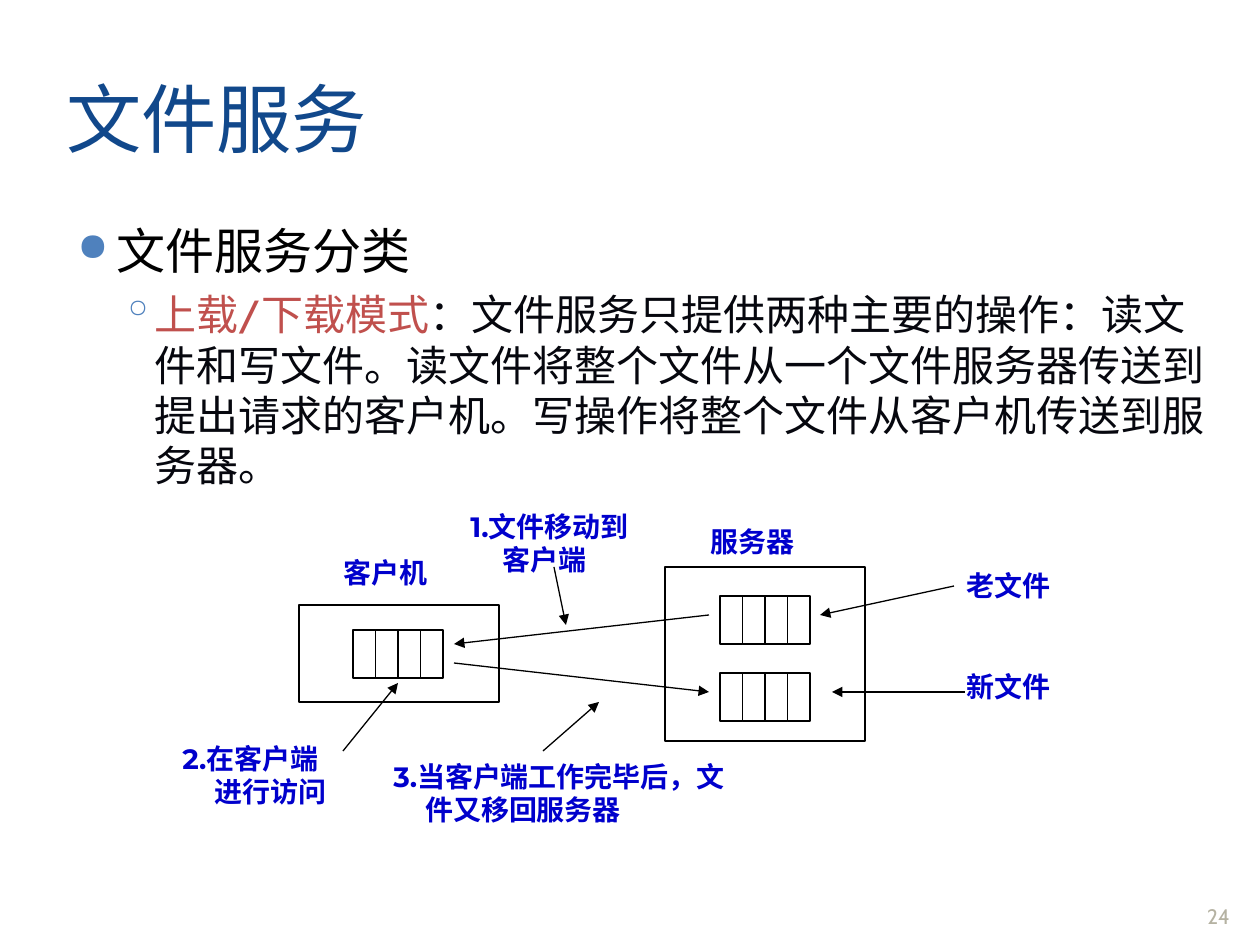
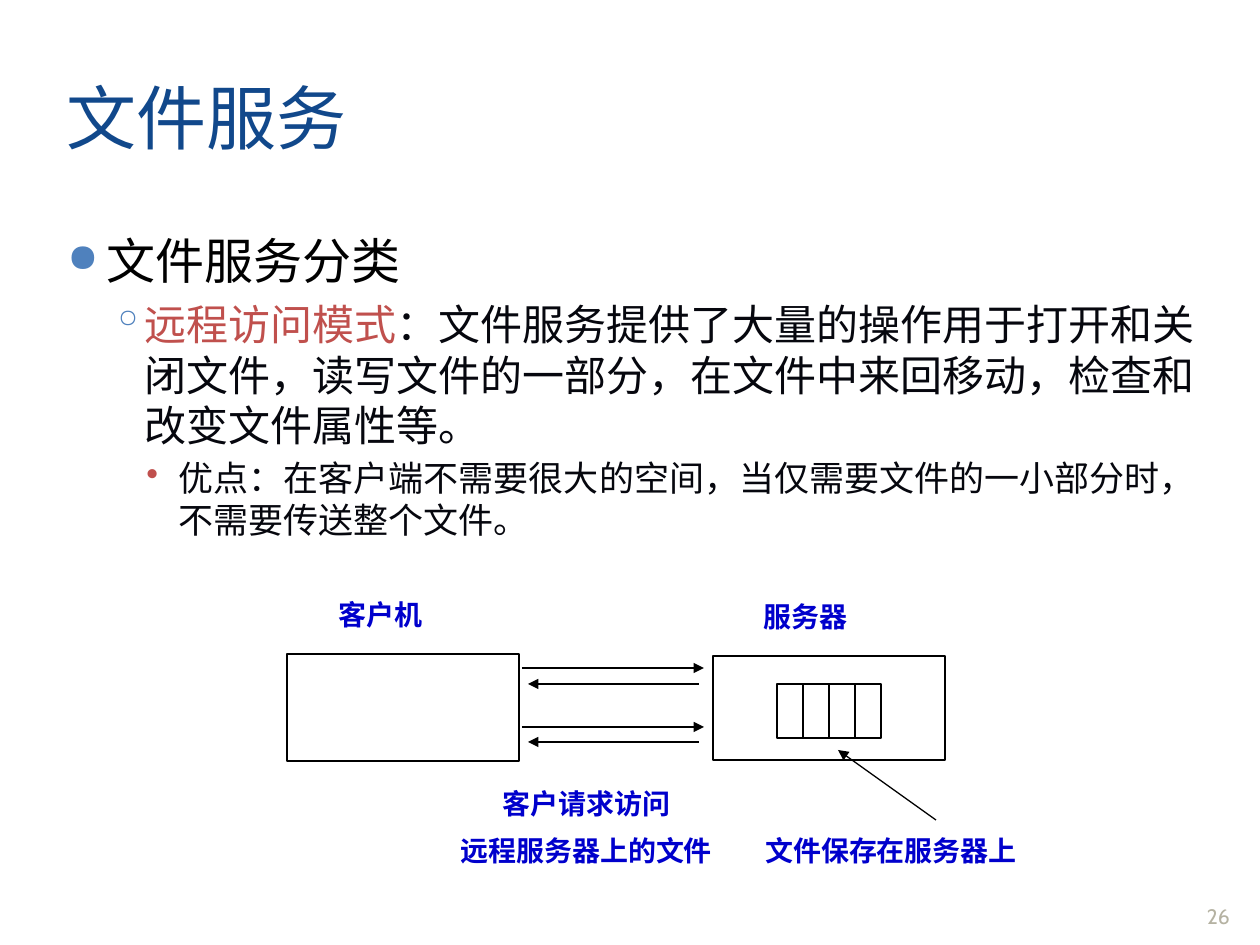
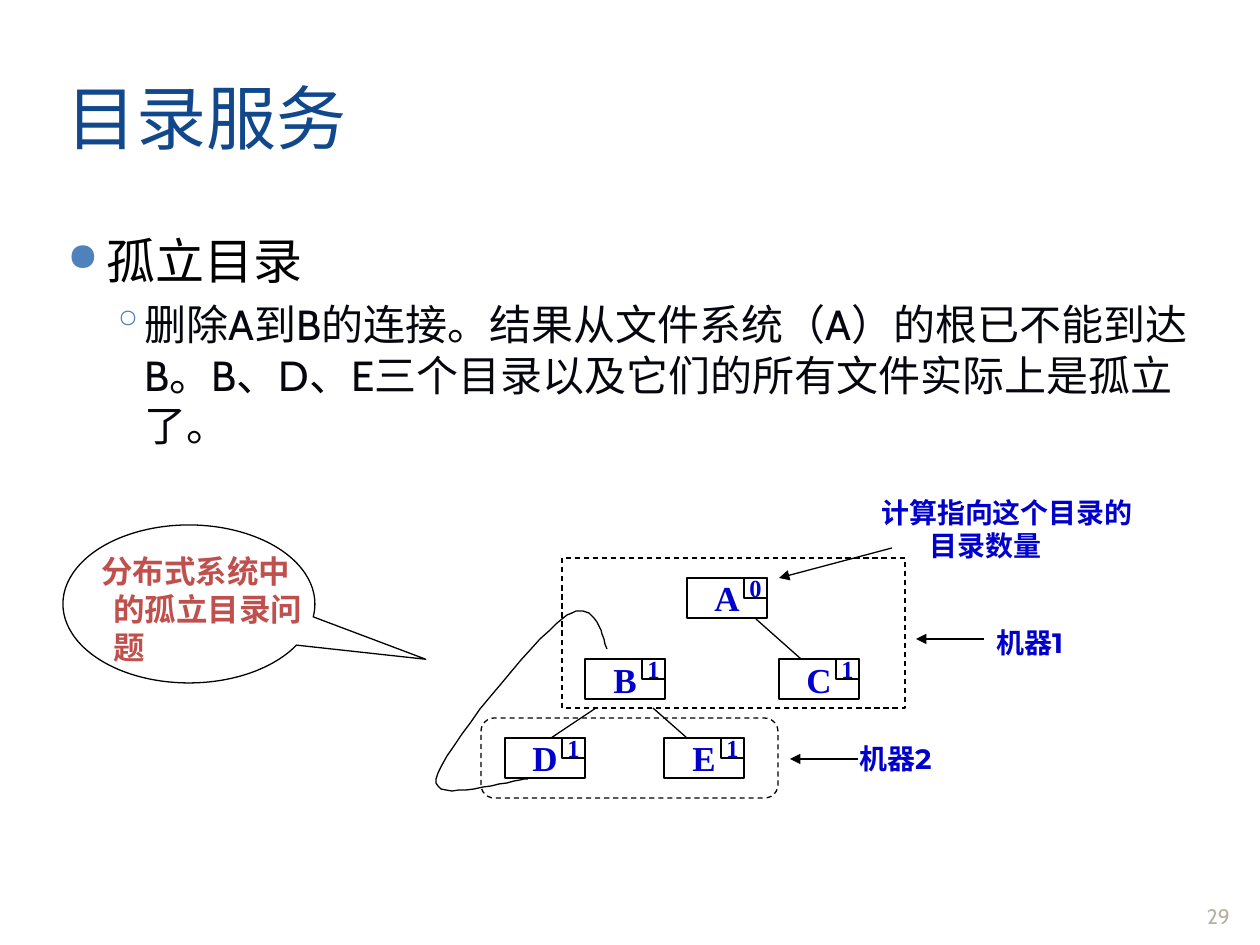
import pptx
import pptx.util
import pptx.dml.color
import pptx.enum.dml
import pptx.enum.shapes
import pptx.enum.text
import pptx.oxml
import pptx.oxml.ns

PX = 7257.14  # EMU in one px, 126 px to the inch
Kind = pptx.enum.shapes.MSO_SHAPE
Align = pptx.enum.text.PP_ALIGN
Anchor = pptx.enum.text.MSO_ANCHOR


class Theme:
    title, ink, text, red = "11488B", "000000", "06070E", "C0504D"
    blue, label, page = "4F81BD", "0000CC", "B5B2A2"
    main, bold, serif = "Cabin", "Montserrat", "Times New Roman"
    small, note, tip, node, badge = 12, 16, 18, 20, 14
    line = 0.75
    hang = 48
    # left margin, first indent, space before, size, text colour, bullet, its colour, its percent
    levels = [
        (50, -39, 6, 28, ink, "●", blue, 80),
        (88, -33, 5.5, 24, text, "◦", blue, 100),
        (122, -32, 4, 20, text, "•", red, 100),
    ]


# Content: body items are (level, lead words in red, the rest)
# labels are (text, box, lead of first line), arrows are (from x, from y, to x, to y)
LOAD = {
    "title": ("文件服务", 43), "page": "24",
    "body_box": (54, 214, 1177, 661),
    "body": [
        (0, "", "文件服务分类"),
        (1, "上载/下载模式", "：文件服务只提供两种主要的操作：读文件和写文件。读文件将整个文件从一个文件服务器"
                         "传送到提出请求的客户机。写操作将整个文件从客户机传送到服务器。"),
    ],
    "hosts": [(299, 605, 200, 97), (665, 567, 200, 174)],
    "files": [(353, 630, 90, 48), (720, 596, 90, 48), (720, 673, 90, 48)],
    "labels": [
        ("客户机", (331, 549, 145, 47), 0),
        ("服务器", (698, 518, 145, 47), 0),
        ("1.文件移动到客户端", (442, 503, 200, 81), 16),
        ("2.在客户端进行访问", (154, 735, 200, 79), 16),
        ("3.当客户端工作完毕后，文件又移回服务器", (365, 753, 378, 81), 16),
        ("老文件", (954, 562, 145, 47), 0),
        ("新文件", (954, 663, 145, 47), 0),
    ],
    "arrows": [
        (709, 615, 454, 644), (454, 663, 709, 692), (554, 567, 566, 625),
        (343, 751, 398, 683), (543, 751, 599, 702), (954, 586, 820, 615),
        (965, 692, 832, 692),
    ],
}
REMOTE = {
    "title": ("文件服务", 40), "page": "26",
    "body_box": (44, 224, 1177, 661),
    "body": [
        (0, "", "文件服务分类"),
        (1, "远程访问模式", "：文件服务提供了大量的操作用于打开和关闭文件，读写文件的一部分，"
                        "在文件中来回移动，检查和改变文件属性等。"),
        (2, "", "优点：在客户端不需要很大的空间，当仅需要文件的一小部分时，不需要传送整个文件。"),
    ],
    "hosts": [(287, 654, 232, 107), (713, 656, 232, 104)],
    "files": [(777, 684, 104, 54)],
    "labels": [
        ("客户机", (326, 591, 168, 47), 0),
        ("服务器", (751, 593, 168, 47), 0),
        ("文件保存在服务器上", (753, 827, 353, 47), 0),
    ],
    "arrows": [
        (522, 668, 704, 668), (522, 727, 704, 727), (699, 684, 528, 684),
        (699, 742, 528, 742), (936, 820, 838, 750),
    ],
}
ORPHAN = {
    "title": ("目录服务", 40), "page": "29",
    "body_box": (44, 224, 1177, 277),
    "body": [
        (0, "", "孤立目录"),
        (1, "", "删除A到B的连接。结果从文件系统（A）的根已不能到达B。B、D、E三个目录"
                "以及它们的所有文件实际上是孤立了。"),
    ],
    "labels": [
        ("计算指向这个目录的目录数量", (869, 489, 285, 81), 0),
        ("机器1", (984, 619, 137, 47), 0),
        ("机器2", (847, 735, 137, 47), 0),
    ],
    "arrows": [(892, 548, 779, 578), (984, 639, 916, 639), (858, 759, 790, 759)],
}
CALLS = ["客户请求访问", "远程服务器上的文件"]
CALLS_BOX = (353, 780, 467, 97)
NODES = [("A", "0", 687, 578), ("B", "1", 585, 659), ("C", "1", 779, 659),
         ("D", "1", 505, 738), ("E", "1", 664, 738)]
NODE_W, NODE_H, BADGE_W, BADGE_H = 80, 40, 23, 20
EDGES = [(756, 619, 801, 659), (596, 708, 551, 738), (653, 708, 687, 738)]
ZONES = [(Kind.FLOWCHART_ALTERNATE_PROCESS, (481, 718, 297, 80)),
         (Kind.RECTANGLE, (562, 558, 343, 150))]
LOOP = [(607, 649), (599, 622), (590, 597), (562, 619), (533, 640),
        (442, 752), (436, 779), (431, 805), (513, 779), (528, 779)]
TIP = "分布式系统中的孤立目录问题"


# Helpers
def emu(*nums):
    return [round(n * PX) for n in nums]


def rgb(code):
    return pptx.dml.color.RGBColor.from_string(code)


def style(font, size, name, color, bold=False):
    font.size, font.name, font.bold = pptx.util.Pt(size), name, bold
    font.color.rgb = rgb(color)


def add_xml(node, tag, **attrs):
    part = pptx.oxml.parse_xml(f"<a:{tag} {pptx.oxml.ns.nsdecls('a')}/>")
    for key, val in attrs.items():
        part.set(key, str(val))
    node.append(part)
    return part


def indent(para, left, first):
    props = para._p.get_or_add_pPr()
    for key, val in zip(("marL", "indent"), emu(left, first)):
        props.set(key, str(val))
    return props


def text_box(slide, box, anchor=Anchor.TOP):
    frame = slide.shapes.add_textbox(*emu(*box)).text_frame
    frame.word_wrap, frame.vertical_anchor = True, anchor
    return frame


def write(para, text, size, name, color, bold=False, align=Align.LEFT):
    para.text, para.alignment = text, align
    style(para.font, size, name, color, bold)


def outline(shape, dash=False):
    shape.shadow.inherit = False
    shape.fill.background()
    shape.line.color.rgb = rgb(Theme.ink)
    shape.line.width = pptx.util.Pt(Theme.line)
    if dash:
        shape.line.dash_style = pptx.enum.dml.MSO_LINE.DASH


def shape(slide, box, kind=Kind.RECTANGLE, dash=False):
    item = slide.shapes.add_shape(kind, *emu(*box))
    outline(item, dash)
    return item


def link(slide, ends, head=True):
    item = slide.shapes.add_connector(pptx.enum.shapes.MSO_CONNECTOR.STRAIGHT, *emu(*ends))
    item.line.color.rgb = rgb(Theme.ink)
    item.line.width = pptx.util.Pt(Theme.line)
    if head:
        add_xml(item.line._get_or_add_ln(), "tailEnd", type="triangle")
    add_xml(item._element.spPr, "effectLst")


def label(slide, text, box, lead, size=Theme.note, color=Theme.label):
    para = text_box(slide, box).paragraphs[0]
    write(para, text, size, Theme.bold, color, True)
    indent(para, Theme.hang, lead - Theme.hang)


def body(slide, box, items):
    frame = text_box(slide, box)
    for i, (level, lead, rest) in enumerate(items):
        left, first, gap, size, color, mark, tint, pct = Theme.levels[level]
        para = frame.add_paragraph() if i else frame.paragraphs[0]
        para.level, para.space_before = level, pptx.util.Pt(gap)
        for text, hue in ((lead, Theme.red), (rest, color)):
            if text:
                run = para.add_run()
                run.text = text
                style(run.font, size, Theme.main, hue)
        props = indent(para, left, first)
        add_xml(add_xml(props, "buClr"), "srgbClr", val=tint)
        add_xml(props, "buSzPct", val=pct * 1000)
        add_xml(props, "buChar", char=mark)


def bezier(points, steps=16):
    for i in range(0, len(points) - 1, 3):
        for k in range(1, steps + 1):
            t = k / steps
            mix = ((1 - t) ** 3, 3 * t * (1 - t) ** 2, 3 * t * t * (1 - t), t ** 3)
            yield tuple(sum(m * p[axis] for m, p in zip(mix, points[i:i + 4]))
                        for axis in (0, 1))


def base(deck, data):
    slide = deck.slides.add_slide(deck.slide_layouts[6])
    text, size = data["title"]
    write(text_box(slide, (54, 38, 1177, 158), Anchor.MIDDLE).paragraphs[0],
          text, size, Theme.main, Theme.title)
    write(text_box(slide, (1187, 869, 63, 66), Anchor.BOTTOM).paragraphs[0],
          data["page"], Theme.small, Theme.main, Theme.page, align=Align.CENTER)
    body(slide, data["body_box"], data["body"])
    for box in data.get("hosts", []):
        shape(slide, box)
    # Each file is a row of four equal blocks
    for x, y, w, h in data.get("files", []):
        for i in range(4):
            shape(slide, (x + i * w / 4, y, w / 4, h))
    for item in data["labels"]:
        label(slide, *item)
    for ends in data["arrows"]:
        link(slide, ends)
    return slide


def calls(slide):
    frame = text_box(slide, CALLS_BOX)
    for i, text in enumerate(CALLS):
        para = frame.add_paragraph() if i else frame.paragraphs[0]
        write(para, text, Theme.note, Theme.bold, Theme.label, True, Align.CENTER)
        para.space_before = pptx.util.Pt(8)


def block(slide, text, box, size):
    frame = shape(slide, box).text_frame
    frame.word_wrap, frame.vertical_anchor = False, Anchor.MIDDLE
    write(frame.paragraphs[0], text, size, Theme.serif, Theme.label, True, Align.CENTER)


def tree(slide):
    # Directory nodes with their link counts
    for name, count, x, y in NODES:
        block(slide, name, (x, y, NODE_W, NODE_H), Theme.node)
        block(slide, count, (x + NODE_W - BADGE_W, y, BADGE_W, BADGE_H), Theme.badge)
    for ends in EDGES:
        link(slide, ends, head=False)
    for kind, box in ZONES:
        shape(slide, box, kind, dash=True)
    # Curved link from D back to B
    pen = slide.shapes.build_freeform(*LOOP[0], scale=PX)
    pen.add_line_segments(list(bezier(LOOP)), close=False)
    outline(pen.convert_to_shape())
    # Speech bubble
    bubble = shape(slide, (63, 525, 252, 158), Kind.OVAL_CALLOUT)
    bubble.adjustments[0], bubble.adjustments[1] = 0.94, 0.35
    label(slide, TIP, (53, 546, 262, 126), 36, Theme.tip, Theme.red)


def main():
    deck = pptx.Presentation()
    deck.slide_width, deck.slide_height = emu(1260, 945)
    base(deck, LOAD)
    calls(base(deck, REMOTE))
    tree(base(deck, ORPHAN))
    deck.save("out.pptx")


if __name__ == "__main__":
    main()
